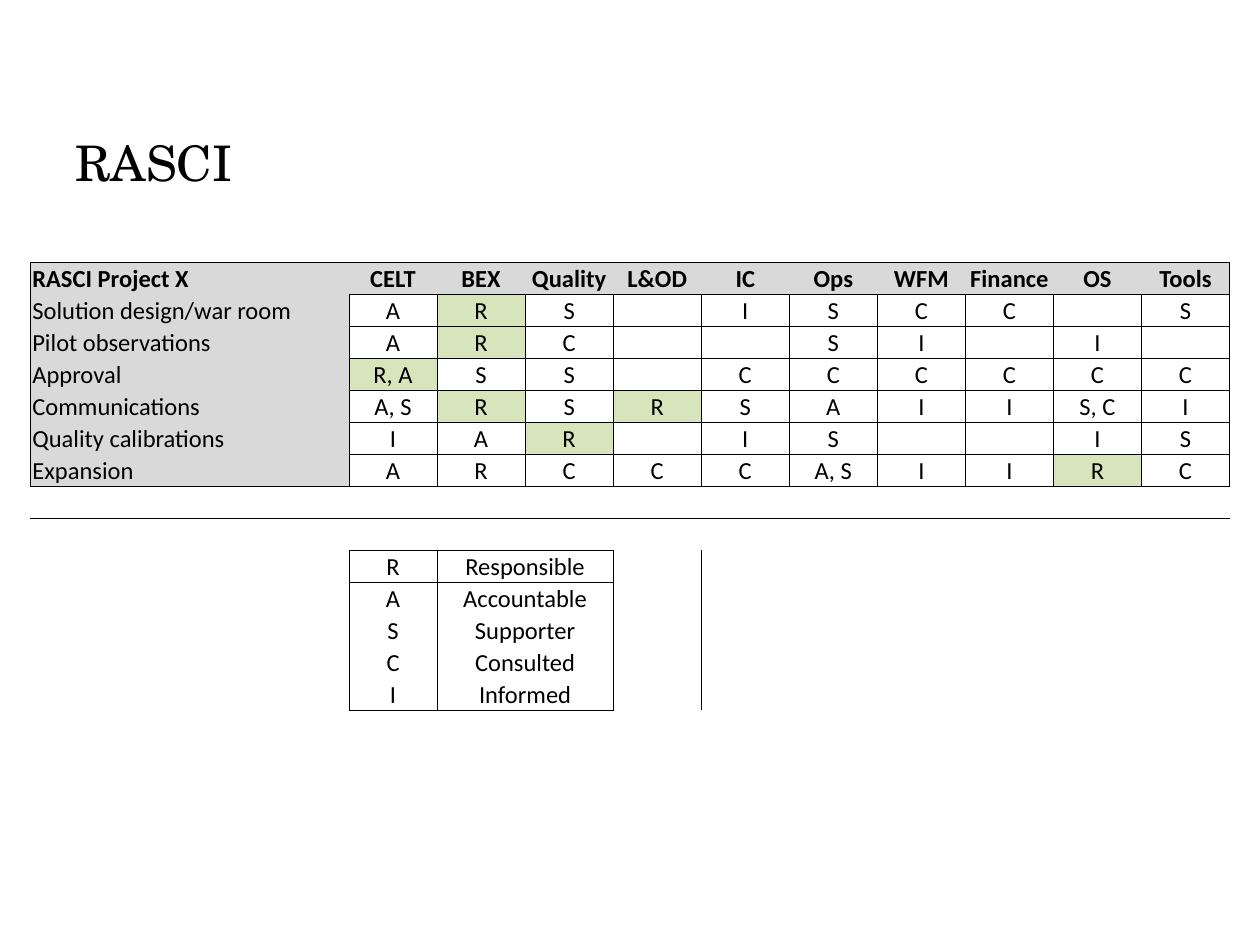
from lxml import etree
from pptx import Presentation
from pptx.dml.color import RGBColor
from pptx.enum.text import MSO_ANCHOR as Anchor, PP_ALIGN as Align
from pptx.oxml.ns import qn
from pptx.util import Inches, Pt

FONT, BLACK, GREY, GREEN = "Calibri", "000000", "D9D9D9", "D8E4BC"
NO_STYLE = "{2D5ABB26-0587-4C30-8999-92F81FD0307C}"
TEXT_SIZE = Pt(14)

TEAMS = ["CELT", "BEX", "Quality", "L&OD", "IC", "Ops", "WFM", "Finance", "OS", "Tools"]
TASKS = [
    ("Solution design/war room", ["A", "R", "S", "", "I", "S", "C", "C", "", "S"]),
    ("Pilot observations", ["A", "R", "C", "", "", "S", "I", "", "I", ""]),
    ("Approval", ["R, A", "S", "S", "", "C", "C", "C", "C", "C", "C"]),
    ("Communications", ["A, S", "R", "S", "R", "S", "A", "I", "I", "S, C", "I"]),
    ("Quality calibrations", ["I", "A", "R", "", "I", "S", "", "", "I", "S"]),
    ("Expansion", ["A", "R", "C", "C", "C", "A, S", "I", "I", "R", "C"]),
]
LEGEND = ["Responsible", "Accountable", "Supporter", "Consulted", "Informed"]
LEGEND_ROW = 9
ROWS, COLS = LEGEND_ROW + len(LEGEND), len(TEAMS) + 1
# Highlighted (row, column) cells
LEADS = {(1, 2), (2, 2), (3, 1), (4, 2), (4, 4), (5, 3), (6, 9)}


def rgb(color):
    return RGBColor.from_string(color)


def style_font(font, name, size, bold=False):
    font.name, font.size, font.bold = name, size, bold
    font.color.rgb = rgb(BLACK)


def add_title(slide, text):
    tf = slide.shapes.add_textbox(Inches(0.5), Inches(1), Inches(9), Inches(1)).text_frame
    tf.word_wrap = True
    p = tf.paragraphs[0]
    p.text = text
    style_font(p.font, "TeX Gyre Schola", Pt(28))


def add_blank_table(slide):
    frame = slide.shapes.add_table(ROWS, COLS, Inches(0.24), Inches(2.08),
                                   Inches(9.52), Inches(3.56))
    table = frame.table
    table.first_row = table.horz_banding = False
    frame._element.find(".//" + qn("a:tableStyleId")).text = NO_STYLE
    table.columns[0].width = Inches(2.53)
    for c in range(1, COLS):
        table.columns[c].width = int(Inches(9.52 - 2.53) / len(TEAMS))
    for row in table.rows:
        row.height = int(Inches(3.56) / ROWS)
    for cell in table.iter_cells():
        cell.fill.background()
        set_text(cell, "")
    return table


def set_text(cell, text, align=Align.CENTER, bold=False):
    cell.margin_left = cell.margin_right = cell.margin_top = Pt(1.2)
    cell.margin_bottom = 0
    cell.vertical_anchor = Anchor.BOTTOM
    p = cell.text_frame.paragraphs[0]
    p.alignment = align
    style_font(p.font, FONT, TEXT_SIZE, bold)
    if text:
        p.text = text
    # The end mark keeps empty rows from growing
    end = p._p.find(qn("a:endParaRPr"))
    if end is None:
        end = etree.SubElement(p._p, qn("a:endParaRPr"))
    else:
        p._p.append(end)
    end.set("sz", str(int(TEXT_SIZE.pt * 100)))


def set_fill(cell, color):
    cell.fill.solid()
    cell.fill.fore_color.rgb = rgb(color)


def outline(edges, top, left, bottom, right):
    """Note the sides of a block, on its own cells and on their neighbours."""
    for r in range(top, bottom + 1):
        edges |= {(r, left, "L"), (r, left - 1, "R"), (r, right, "R"), (r, right + 1, "L")}
    for c in range(left, right + 1):
        edges |= {(top, c, "T"), (top - 1, c, "B"), (bottom, c, "B"), (bottom + 1, c, "T")}


def draw_borders(table, edges):
    for r in range(ROWS):
        for c in range(COLS):
            tc_pr = table.cell(r, c)._tc.get_or_add_tcPr()
            sides = [s for s in "LRTB" if (r, c, s) in edges]
            for i, side in enumerate(sides):
                ln = etree.Element(qn("a:ln" + side), w=str(Pt(0.5)))
                fill = etree.SubElement(ln, qn("a:solidFill"))
                etree.SubElement(fill, qn("a:srgbClr"), val=BLACK)
                tc_pr.insert(i, ln)


def fill_matrix(table):
    rows = [("RASCI Project X", TEAMS)] + TASKS
    for r, (label, values) in enumerate(rows):
        for c, text in enumerate([label] + values):
            cell = table.cell(r, c)
            set_text(cell, text, Align.CENTER if c else Align.LEFT, bold=r == 0)
            if r == 0 or c == 0:
                set_fill(cell, GREY)
            elif (r, c) in LEADS:
                set_fill(cell, GREEN)


def fill_legend(table):
    for r, role in enumerate(LEGEND, LEGEND_ROW):
        table.cell(r, 2).merge(table.cell(r, 3))
        set_text(table.cell(r, 1), role[0])
        set_text(table.cell(r, 2), role)


def main():
    prs = Presentation()
    prs.slide_width, prs.slide_height = Inches(10), Inches(7.5)
    slide = prs.slides.add_slide(prs.slide_layouts[6])
    add_title(slide, "RASCI")

    # Responsibility matrix and legend share one table
    table = add_blank_table(slide)
    fill_matrix(table)
    fill_legend(table)

    # Borders: matrix frame, each matrix cell, legend frame
    edges = set()
    last_task = len(TASKS)
    outline(edges, 0, 0, last_task, COLS - 1)
    for r in range(1, last_task + 1):
        for c in range(1, COLS):
            outline(edges, r, c, r, c)
    outline(edges, LEGEND_ROW, 1, ROWS - 1, 3)
    edges |= {(r, 2, "R") for r in range(LEGEND_ROW, ROWS)}  # merged role cells
    draw_borders(table, edges)

    prs.save("out.pptx")


if __name__ == "__main__":
    main()
